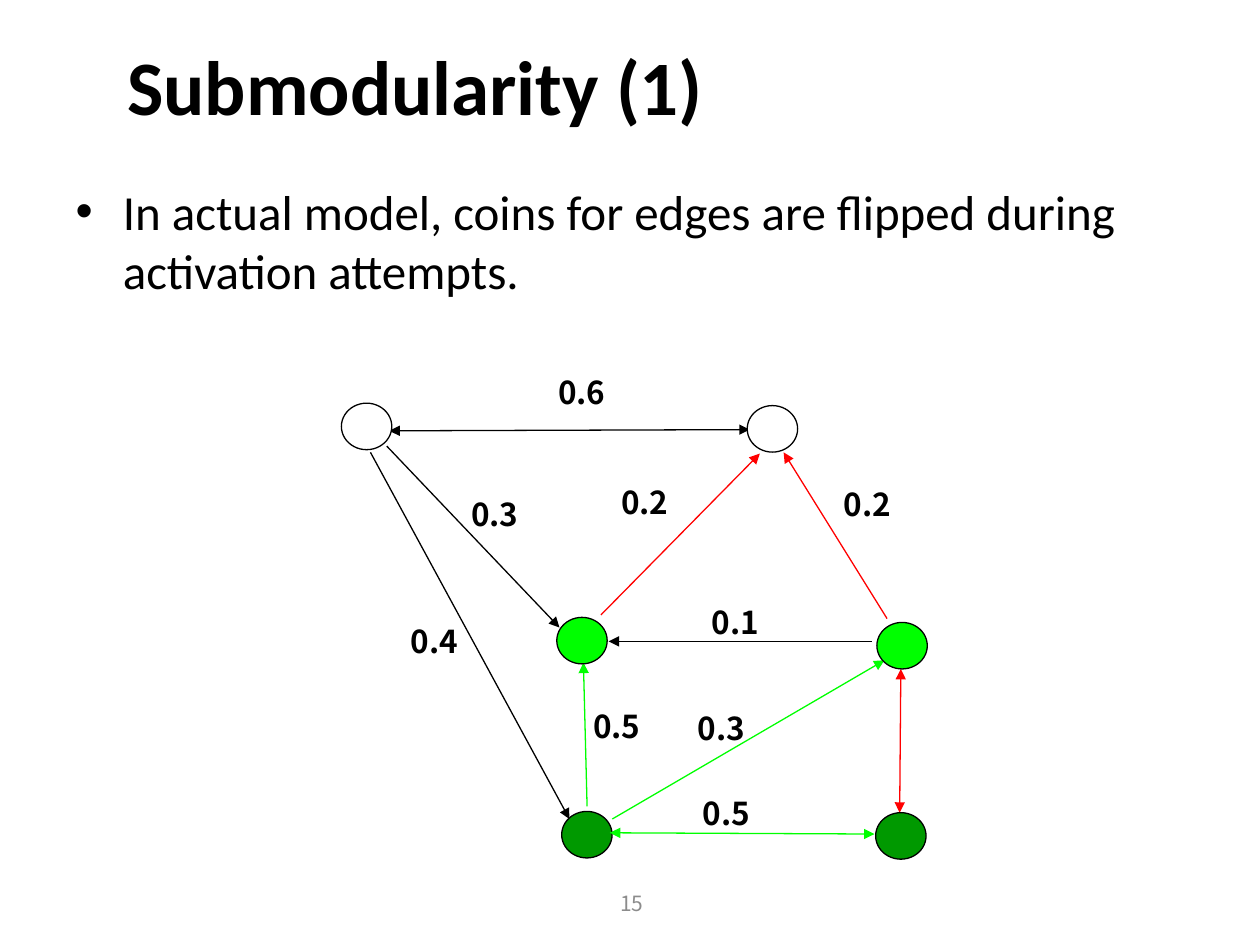
from lxml.etree import SubElement
from pptx import Presentation
from pptx.dml.color import RGBColor as Rgb
from pptx.enum.shapes import MSO_CONNECTOR as Conn, MSO_SHAPE as Form
from pptx.enum.text import MSO_ANCHOR as Anchor, PP_ALIGN as Align
from pptx.oxml.ns import qn
from pptx.util import Pt

HUES = {"black": "000000", "white": "FFFFFF", "gray": "8C8C8C",
        "red": "FF0000", "lime": "00FF00", "green": "009900"}

NODES = [
    ("green", 321, 463.7),
    ("green", 500.4, 464.4),
    ("white", 195.1, 230.4),
    ("white", 427, 231.8),
    ("lime", 318.2, 352.8),
    ("lime", 501.1, 355.7),
]
EDGES = [
    ("lime", 348.5, 475.9, 499.7, 476.6, True),
    ("lime", 349.9, 468, 505.4, 377.3, False),
    ("lime", 335.5, 460.8, 333.4, 378.7, False),
    ("black", 498.2, 366.5, 347.8, 366.5, False),
    ("black", 211.7, 258.5, 325.4, 468, False),
    ("black", 221, 254.9, 319.7, 358.6, False),
    ("red", 343.4, 351.4, 434.2, 259.2, False),
    ("black", 222.5, 246.2, 428.4, 245.5, True),
    ("red", 506.9, 353.5, 447.8, 258.5, False),
    ("red", 514.8, 382.3, 514.1, 464.4, True),
]
ODDS = [
    ("0.5", 394.6, 450),
    ("0.3", 391.7, 401.8),
    ("0.5", 331.9, 400.3),
    ("0.1", 399.6, 341.3),
    ("0.4", 227.5, 352.1),
    ("0.3", 262.1, 279.4),
    ("0.2", 347.8, 272.2),
    ("0.6", 311.8, 209.5),
    ("0.2", 475.2, 273.6),
]


class Pen:
    main = "Calibri"
    side = "Noto Sans CJK KR"
    thin = 0.75

    def __init__(self, slide):
        self.slide = slide

    def hue(self, name):
        return Rgb.from_string(HUES[name])

    def words(self, shape, text, face, size, hue="black", bold=False,
              align=Align.LEFT, anchor=Anchor.TOP):
        frame = shape.text_frame
        frame.word_wrap = True
        frame.vertical_anchor = anchor
        frame.text = text
        para = frame.paragraphs[0]
        para.alignment = align
        font = para.font
        font.name, font.size, font.bold = face, Pt(size), bold
        font.color.rgb = self.hue(hue)

    def fill(self, holder, box, text, size, **style):
        holder.left, holder.top, holder.width, holder.height = map(Pt, box)
        self.words(holder, text, self.main, size, **style)

    def label(self, box, text, size, **style):
        shape = self.slide.shapes.add_textbox(*map(Pt, box))
        self.words(shape, text, self.side, size, **style)

    def node(self, hue, left, top):
        dot = self.slide.shapes.add_shape(
            Form.OVAL, Pt(left), Pt(top), Pt(28.8), Pt(26.6))
        dot.shadow.inherit = False
        dot.fill.solid()
        dot.fill.fore_color.rgb = self.hue(hue)
        dot.line.color.rgb = self.hue("black")
        dot.line.width = Pt(self.thin)

    def edge(self, hue, x1, y1, x2, y2, both):
        wire = self.slide.shapes.add_connector(
            Conn.STRAIGHT, Pt(x1), Pt(y1), Pt(x2), Pt(y2))
        wire.line.color.rgb = self.hue(hue)
        wire.line.width = Pt(self.thin)
        props = wire._element.spPr
        line = props.find(qn("a:ln"))
        for end in ("headEnd", "tailEnd") if both else ("tailEnd",):
            SubElement(line, qn("a:" + end), type="triangle")
        SubElement(props, qn("a:effectLst"))


def main():
    deck = Presentation()
    deck.slide_width, deck.slide_height = Pt(720), Pt(540)
    slide = deck.slides.add_slide(deck.slide_layouts[1])
    pen = Pen(slide)
    title, body = slide.placeholders
    pen.fill(title, (65.5, 3.6, 617.8, 90), "Submodularity (1)", 44,
             bold=True, anchor=Anchor.MIDDLE)
    pen.fill(body, (36, 100, 648, 382.3),
             "In actual model, coins for edges are flipped during "
             "activation attempts.", 28)
    pen.label((277.2, 501.8, 167.8, 28.8), "15", 12, hue="gray",
              align=Align.CENTER, anchor=Anchor.MIDDLE)
    pen.node(*NODES[0])
    for edge in EDGES:
        pen.edge(*edge)
    for text, left, top in ODDS:
        pen.label((left, top, 48.2, 28.8), text, 18, bold=True)
    for node in NODES[1:]:
        pen.node(*node)
    deck.save("out.pptx")


if __name__ == "__main__":
    main()
